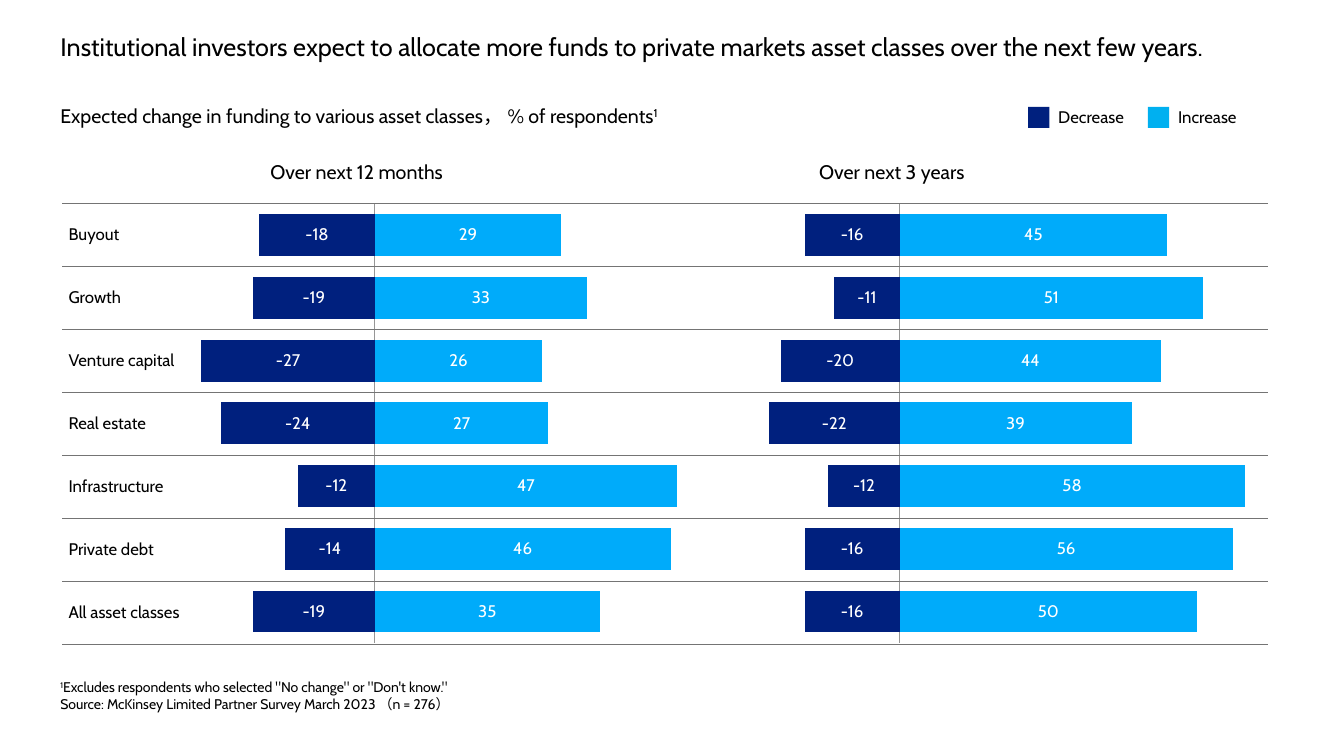
from dataclasses import dataclass

from lxml.etree import SubElement
from pptx import Presentation
from pptx.chart.data import CategoryChartData
from pptx.dml.color import RGBColor
from pptx.enum.chart import XL_CHART_TYPE as ChartType
from pptx.enum.chart import XL_LABEL_POSITION as LabelPosition
from pptx.enum.chart import XL_TICK_LABEL_POSITION as TickLabels
from pptx.enum.chart import XL_TICK_MARK as TickMark
from pptx.enum.shapes import MSO_CONNECTOR as Connector
from pptx.enum.shapes import MSO_SHAPE as Shape
from pptx.enum.text import MSO_ANCHOR as Anchor
from pptx.enum.text import MSO_AUTO_SIZE as AutoSize
from pptx.enum.text import PP_ALIGN as Align
from pptx.oxml import parse_xml
from pptx.oxml.ns import nsdecls, qn
from pptx.slide import Slide
from pptx.util import Pt

FONT = "Cabin"
BLACK, WHITE = "000000", "FFFFFF"
NAVY, SKY, LEGEND_SKY = "00207E", "00ABFA", "00B0F0"
RULE_GREY, AXIS_GREY = "747474", "969696"
TABLE_LEFT, TABLE_RIGHT, TABLE_TOP, ROW_HEIGHT = 44.6, 905.8, 145.5, 44.95
CHART_TOP, CHART_WIDTH, CHART_HEIGHT = 124.6, 352.8, 355.7
PLOT = {"x": 0.018, "y": 0.059, "w": 0.963, "h": 0.882}


@dataclass
class Part:
    text: str
    raised: bool = False


@dataclass
class Caption:
    left: float
    top: float
    width: float
    height: float
    size: float
    lines: list[list[Part]]
    wrap: bool = False


@dataclass
class LegendEntry:
    left: float
    color: str
    label: str


@dataclass
class Horizon:
    left: float
    heading: str
    heading_left: float
    heading_width: float
    decrease: list[int]
    increase: list[int]


ASSET_CLASSES = ["Buyout", "Growth", "Venture capital", "Real estate",
                 "Infrastructure", "Private debt", "All asset classes"]
HORIZONS = [
    Horizon(137.5, "Over next 12 months", 186, 150,
            [-18, -19, -27, -24, -12, -14, -19], [29, 33, 26, 27, 47, 46, 35]),
    Horizon(542.9, "Over next 3 years", 578, 128,
            [-16, -11, -20, -22, -12, -16, -16], [45, 51, 44, 39, 58, 56, 50]),
]
LEGEND = [LegendEntry(734.4, NAVY, "Decrease"), LegendEntry(820, LEGEND_SKY, "Increase")]
CAPTIONS = [
    Caption(36, 70.5, 482, 24.5, 14, [[
        Part("Expected change in funding to various asset classes， % of respondents"),
        Part("1", raised=True)]]),
    Caption(36, 481, 438, 31.7, 10, [
        [Part("1", raised=True),
         Part('Excludes respondents who selected "No change" or "Don\'t know."')],
        [Part("Source: McKinsey Limited Partner Survey March 2023 （n = 276）")]], wrap=True),
]


def rgb(value: str) -> RGBColor:
    return RGBColor.from_string(value)


def style_font(font, size: float, color: str = BLACK) -> None:
    font.name = FONT
    font.size = Pt(size)
    font.bold = False
    font.color.rgb = rgb(color)


def add_title(slide: Slide, text: str) -> None:
    title = slide.shapes.title
    title.left, title.top, title.width, title.height = Pt(36), Pt(18.7), Pt(875), Pt(51)
    frame = title.text_frame
    frame.text = text
    frame.auto_size = AutoSize.NONE
    frame.vertical_anchor = Anchor.TOP
    frame.paragraphs[0].alignment = Align.LEFT
    style_font(frame.paragraphs[0].font, 18)


def add_caption(slide: Slide, caption: Caption):
    box = slide.shapes.add_textbox(Pt(caption.left), Pt(caption.top),
                                   Pt(caption.width), Pt(caption.height))
    frame = box.text_frame
    frame.word_wrap = caption.wrap
    for index, line in enumerate(caption.lines):
        paragraph = frame.add_paragraph() if index else frame.paragraphs[0]
        style_font(paragraph.font, caption.size)
        for part in line:
            run = paragraph.add_run()
            run.text = part.text
            if part.raised:
                run.font._element.set("baseline", "30000")
    return frame


def add_legend_entry(slide: Slide, entry: LegendEntry) -> None:
    swatch = slide.shapes.add_shape(Shape.RECTANGLE, Pt(entry.left), Pt(76.3), Pt(15.1), Pt(15.1))
    swatch.shadow.inherit = False
    swatch.fill.solid()
    swatch.fill.fore_color.rgb = rgb(entry.color)
    swatch.line.fill.background()
    add_caption(slide, Caption(entry.left + 14.4, 72.7, 65, 21.6, 12, [[Part(entry.label)]]))


def add_row_label(slide: Slide, row: int, name: str) -> None:
    middle = TABLE_TOP + (row + 0.5) * ROW_HEIGHT
    frame = add_caption(slide, Caption(49, middle - 6.5, 88, 13, 12, [[Part(name)]]))
    frame.margin_left = frame.margin_right = frame.margin_top = frame.margin_bottom = 0
    frame.vertical_anchor = Anchor.MIDDLE
    frame.paragraphs[0].line_spacing = 0.9


def add_rule(slide: Slide, row: int) -> None:
    y = Pt(TABLE_TOP + row * ROW_HEIGHT)
    rule = slide.shapes.add_connector(Connector.STRAIGHT, Pt(TABLE_LEFT), y, Pt(TABLE_RIGHT), y)
    rule.line.color.rgb = rgb(RULE_GREY)
    rule.line.width = Pt(1)
    SubElement(rule._element.spPr, qn("a:effectLst"))


def place_plot(chart) -> None:
    modes = "".join(f'<c:{axis}Mode val="edge"/>' for axis in "xy")
    sides = "".join(f'<c:{side} val="{share}"/>' for side, share in PLOT.items())
    layout = parse_xml(f'<c:layout {nsdecls("c")}><c:manualLayout><c:layoutTarget val="inner"/>'
                       f'{modes}{sides}</c:manualLayout></c:layout>')
    plot_area = chart._chartSpace.chart.plotArea
    for existing in plot_area.findall(qn("c:layout")):
        plot_area.remove(existing)
    plot_area.insert(0, layout)


def add_horizon(slide: Slide, horizon: Horizon) -> None:
    data = CategoryChartData()
    data.categories = ASSET_CLASSES
    data.add_series("Decrease", horizon.decrease)
    data.add_series("Increase", horizon.increase)
    chart = slide.shapes.add_chart(ChartType.BAR_STACKED, Pt(horizon.left), Pt(CHART_TOP),
                                   Pt(CHART_WIDTH), Pt(CHART_HEIGHT), data).chart
    style_font(chart.font, 12)
    chart.has_title = False
    chart.has_legend = False
    place_plot(chart)

    classes, shares = chart.category_axis, chart.value_axis
    classes.reverse_order = True
    classes.tick_label_position = TickLabels.NONE
    classes.major_tick_mark = classes.minor_tick_mark = TickMark.NONE
    classes.format.line.color.rgb = rgb(AXIS_GREY)
    classes.format.line.width = Pt(0.75)
    shares.visible = False
    shares.has_major_gridlines = False
    shares.minimum_scale = min(horizon.decrease)
    shares.maximum_scale = max(horizon.increase)

    bars = chart.plots[0]
    bars.gap_width, bars.overlap = 50, 100
    bars.vary_by_categories = False
    for series, color in zip(bars.series, (NAVY, SKY)):
        series.invert_if_negative = False
        series.format.fill.solid()
        series.format.fill.fore_color.rgb = rgb(color)
        labels = series.data_labels
        labels.show_value = True
        labels.position = LabelPosition.CENTER
        style_font(labels.font, 12, WHITE)


def main() -> None:
    deck = Presentation()
    deck.slide_width, deck.slide_height = Pt(960), Pt(540)
    slide = deck.slides.add_slide(deck.slide_layouts[5])
    add_title(slide, "Institutional investors expect to allocate more funds to private markets "
                     "asset classes over the next few years.")
    for caption in CAPTIONS:
        add_caption(slide, caption)
    for entry in LEGEND:
        add_legend_entry(slide, entry)
    for horizon in HORIZONS:
        add_horizon(slide, horizon)
        add_caption(slide, Caption(horizon.heading_left, 111, horizon.heading_width, 24.5, 14,
                                   [[Part(horizon.heading)]]))
    for row, name in enumerate(ASSET_CLASSES):
        add_row_label(slide, row, name)
    for row in range(len(ASSET_CLASSES) + 1):
        add_rule(slide, row)
    deck.save("out.pptx")


if __name__ == "__main__":
    main()
